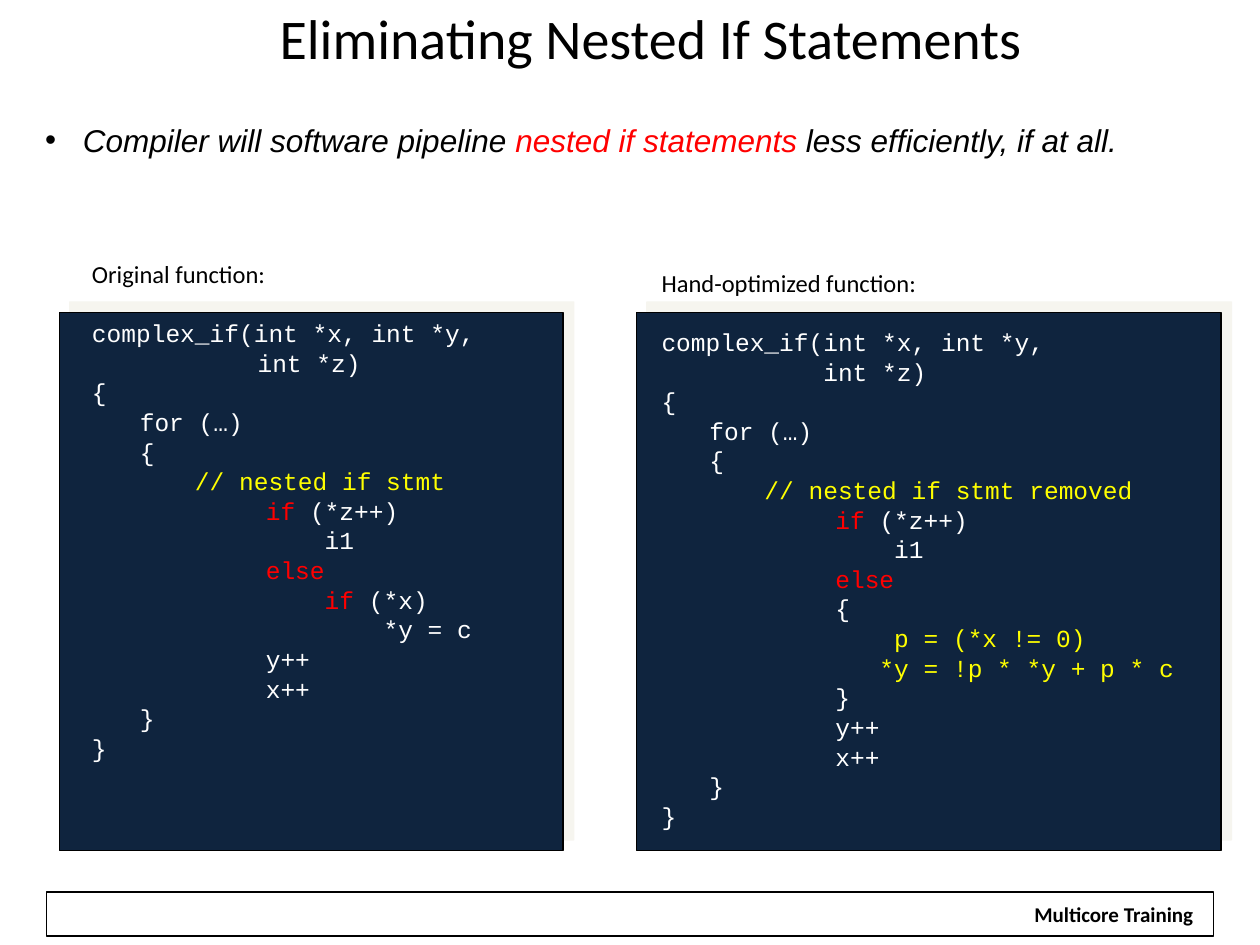
"""Build the slide on eliminating nested if statements."""
from typing import Any, NamedTuple

import lxml.etree
import pptx
import pptx.dml.color
import pptx.enum.shapes
import pptx.enum.text
import pptx.oxml.ns
import pptx.util

COLUMNS, ROWS = 100, 75
SLIDE_WIDTH, SLIDE_HEIGHT = pptx.util.Inches(10), pptx.util.Inches(7.5)
BLACK, WHITE, RED, YELLOW = "000000", "FFFFFF", "FF0000", "FFFF00"
NAVY, CREAM = "0F243E", "EEECE1"
INDENTS = (0, 0.38, 1.38)
CODE = {"name": "Courier New", "size": pptx.util.Pt(14)}
CAPTION = {"name": "Calibri", "size": pptx.util.Pt(14)}
HEADLINE = {"name": "Calibri", "size": pptx.util.Pt(32)}
POINT = {"name": "Arial", "size": pptx.util.Pt(18), "italic": True}
FOOTER = {"name": "Calibri", "size": pptx.util.Pt(12), "bold": True}
CODE_SPACING = {"line_spacing": 0.8, "space_before": pptx.util.Pt(3.5)}
FIRST_CODE_SPACING = {"line_spacing": 0.8, "space_before": pptx.util.Pt(20.4)}
CAPTION_SPACING = {"line_spacing": 0.8, "space_before": pptx.util.Pt(0)}


class Box(NamedTuple):
    left: float
    top: float
    width: float
    height: float


class Run(NamedTuple):
    text: str
    colour: str = WHITE


class CodeLine(NamedTuple):
    depth: int
    runs: tuple[Run, ...]


class Listing(NamedTuple):
    caption: str
    panel: Box
    body: Box
    lines: tuple[CodeLine, ...]


def line(depth: int, text: str, colour: str = WHITE, rest: str = "") -> CodeLine:
    return CodeLine(depth, (Run(text, colour),) + ((Run(rest),) if rest else ()))


SIGNATURE = line(0, "complex_if(int *x, int *y,")
LOOP_START = (line(0, "{"), line(1, "for (…)"), line(1, "{"))
FIRST_BRANCH = (line(2, "if", RED, " (*z++)"), line(2, "    i1"), line(2, "else", RED))
LOOP_END = (line(2, "y++"), line(2, "x++"), line(1, "}"), line(0, "}"))

LISTINGS = (
    Listing(
        "Original function:", Box(4.7, 24.8, 40, 42.7), Box(6.3, 20.5, 44.2, 49.5),
        (SIGNATURE, line(1, "        int *z)"), *LOOP_START,
         line(0, "       // nested if stmt", YELLOW), *FIRST_BRANCH,
         line(2, "    if", RED, " (*x)"), line(2, "        *y = c"), *LOOP_END),
    ),
    Listing(
        "Hand-optimized function:", Box(50.5, 24.8, 46.4, 42.7), Box(51.5, 21.2, 48.5, 51.3),
        (SIGNATURE, line(0, "           int *z)"), *LOOP_START,
         line(0, "       // nested if stmt removed", YELLOW), *FIRST_BRANCH,
         line(2, "{"), line(2, "    p = (*x != 0)", YELLOW),
         line(2, "   *y = !p * *y + p * c", YELLOW), line(2, "}"), *LOOP_END),
    ),
)


def rgb(colour: str) -> pptx.dml.color.RGBColor:
    return pptx.dml.color.RGBColor.from_string(colour)


def apply(target: Any, values: dict[str, Any]) -> None:
    for name, value in values.items():
        setattr(target, name, value)


def lengths(box: Box) -> tuple[int, int, int, int]:
    column, row = SLIDE_WIDTH / COLUMNS, SLIDE_HEIGHT / ROWS
    return (round(box.left * column), round(box.top * row),
            round(box.width * column), round(box.height * row))


def place(shape: Any, box: Box) -> None:
    apply(shape, dict(zip(("left", "top", "width", "height"), lengths(box))))
    apply(shape.text_frame, {"word_wrap": True, "auto_size": pptx.enum.text.MSO_AUTO_SIZE.NONE})


def add_element(parent: Any, tag: str, **attributes: str) -> Any:
    return lxml.etree.SubElement(parent, pptx.oxml.ns.qn(tag), attributes)


def write(paragraph: Any, runs: tuple[Run, ...], font: dict[str, Any]) -> None:
    for part in runs:
        run = paragraph.add_run()
        run.text = part.text
        apply(run.font, font)
        run.font.color.rgb = rgb(part.colour)


def set_bullet(paragraph: Any, margin: float, hanging: float, mark: str = "") -> None:
    properties = paragraph._p.get_or_add_pPr()
    properties.set("marL", str(pptx.util.Inches(margin)))
    properties.set("indent", str(pptx.util.Inches(-hanging)))
    if mark:
        add_element(properties, "a:buFont", typeface="Arial")
        add_element(properties, "a:buChar", char=mark)
    else:
        add_element(properties, "a:buNone")


def add_frame(slide: Any, box: Box, fill: str = "") -> Any:
    frame = slide.shapes.add_shape(pptx.enum.shapes.MSO_SHAPE.RECTANGLE, *lengths(box))
    frame.shadow.inherit = False
    if fill:
        frame.fill.solid()
        frame.fill.fore_color.rgb = rgb(fill)
    else:
        frame.fill.background()
    frame.line.color.rgb = rgb(BLACK)
    frame.line.width = pptx.util.Pt(0.75)
    return frame


def add_panel(slide: Any, box: Box) -> None:
    panel = add_frame(slide, box, NAVY)
    effects = panel._element.spPr.find(pptx.oxml.ns.qn("a:effectLst"))
    shadow = add_element(effects, "a:outerShdw", dist=str(pptx.util.Pt(8.5)),
                         dir=str(315 * 60000), algn="ctr", rotWithShape="0")
    add_element(add_element(shadow, "a:srgbClr", val=CREAM), "a:alpha", val="50000")
    slide.shapes._spTree.insert(2, panel._element)


def fill_listing(body: Any, listing: Listing) -> None:
    place(body, listing.body)
    caption = body.text_frame.paragraphs[0]
    set_bullet(caption, 0, 0)
    apply(caption, CAPTION_SPACING)
    write(caption, (Run(listing.caption, BLACK),), CAPTION)
    for number, code in enumerate(listing.lines):
        paragraph = body.text_frame.add_paragraph()
        set_bullet(paragraph, INDENTS[code.depth], 0)
        apply(paragraph, CODE_SPACING if number else FIRST_CODE_SPACING)
        write(paragraph, code.runs, CODE)


def add_text(slide: Any, box: Box) -> Any:
    text = slide.shapes.add_textbox(*lengths(box))
    text.text_frame.word_wrap = True
    return text.text_frame.paragraphs[0]


def main() -> None:
    deck = pptx.Presentation()
    apply(deck, {"slide_width": SLIDE_WIDTH, "slide_height": SLIDE_HEIGHT})
    slide = deck.slides.add_slide(deck.slide_layouts[3])
    title, *bodies = slide.placeholders

    place(title, Box(3.3, 0, 96.7, 5.9))
    title.text_frame.vertical_anchor = pptx.enum.text.MSO_ANCHOR.MIDDLE
    headline = title.text_frame.paragraphs[0]
    headline.alignment = pptx.enum.text.PP_ALIGN.CENTER
    write(headline, (Run("Eliminating Nested If Statements", BLACK),), HEADLINE)

    for body, listing in zip(bodies, LISTINGS):
        add_panel(slide, listing.panel)
        fill_listing(body, listing)

    point = add_text(slide, Box(2.6, 9.1, 92.4, 4))
    set_bullet(point, 0.3, 0.3, "•")
    write(point, (Run("Compiler will software pipeline ", BLACK),
                  Run("nested if statements ", RED),
                  Run("less efficiently, if at all.", BLACK)), POINT)

    add_frame(slide, Box(3.7, 70.8, 92.6, 3.5))
    footer = add_text(slide, Box(81, 71.1, 14.8, 3))
    footer.alignment = pptx.enum.text.PP_ALIGN.CENTER
    write(footer, (Run("Multicore Training", BLACK),), FOOTER)
    deck.save("out.pptx")


if __name__ == "__main__":
    main()
